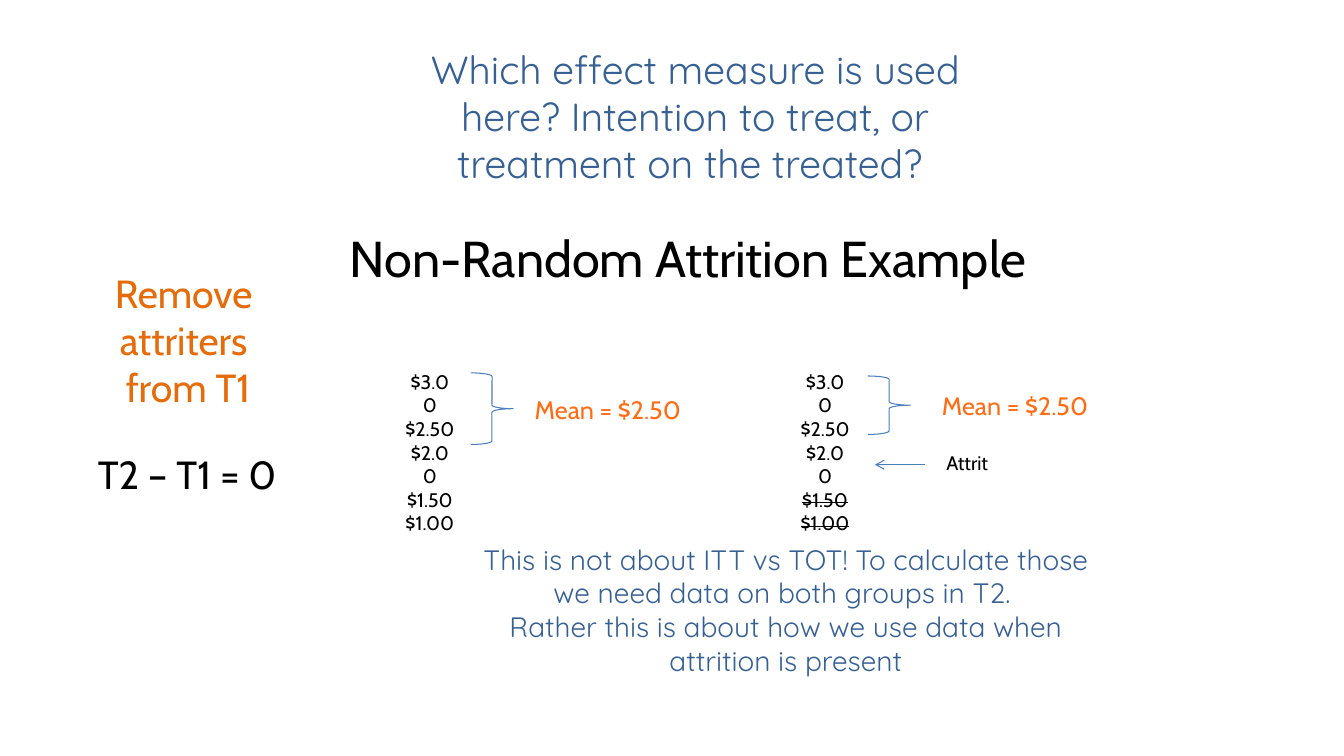
from dataclasses import dataclass

from lxml import etree
from pptx import Presentation
from pptx.dml.color import RGBColor
from pptx.enum.shapes import MSO_CONNECTOR, MSO_SHAPE
from pptx.enum.text import MSO_AUTO_SIZE, PP_ALIGN
from pptx.oxml.ns import qn
from pptx.util import Inches, Pt

STRAIGHT = MSO_CONNECTOR.STRAIGHT
RIGHT_BRACE = MSO_SHAPE.RIGHT_BRACE
GROW = MSO_AUTO_SIZE.SHAPE_TO_FIT_TEXT
CENTER = PP_ALIGN.CENTER


@dataclass(frozen=True)
class Theme:
    """Slide size, colours, line width and text formats."""

    width = Inches(13.33)
    height = Inches(7.5)
    line_color = RGBColor.from_string("4B7EBC")
    line_width = Pt(0.75)
    formats = {
        "title": {"name": "Cabin", "size": Pt(36), "color": "000000"},
        "value": {"name": "Cabin", "size": Pt(14), "color": "000000"},
        "mean": {"name": "Cabin", "size": Pt(18), "color": "FF6D16"},
        "result": {"name": "Cabin", "size": Pt(28), "color": "000000"},
        "step": {"name": "Cabin", "size": Pt(28), "color": "E46C0A"},
        "question": {"name": "Quicksand", "size": Pt(28), "color": "376092"},
        "answer": {"name": "Quicksand", "size": Pt(20), "color": "376092"},
    }


THEME = Theme()


def across(share):
    """Return a percentage of the slide width as a length."""
    return round(THEME.width * share / 100)


def down(share):
    """Return a percentage of the slide height as a length."""
    return round(THEME.height * share / 100)


def place(left, top, width, height):
    """Turn a box in slide percentages into lengths."""
    return across(left), down(top), across(width), down(height)


def format_font(font, style):
    """Apply a named text format to a font."""
    for attribute, value in THEME.formats[style].items():
        if attribute == "color":
            font.color.rgb = RGBColor.from_string(value)
        else:
            setattr(font, attribute, value)


def add_text(slide, box, paragraphs, style, wrap=True, struck=()):
    """Add centred text, striking through the listed paragraphs."""
    frame = slide.shapes.add_textbox(*place(*box)).text_frame
    frame.word_wrap = wrap
    frame.auto_size = GROW
    frame.text = "\n".join(paragraphs)
    for paragraph in frame.paragraphs:
        paragraph.alignment = CENTER
        for run in paragraph.runs:
            format_font(run.font, style)
            if run.text in struck:
                run._r.get_or_add_rPr().set("strike", "sngStrike")


def format_line(line):
    """Give a line the theme colour and width."""
    line.color.rgb = THEME.line_color
    line.width = THEME.line_width


def add_brace(slide, box):
    """Add an unfilled right brace."""
    brace = slide.shapes.add_shape(RIGHT_BRACE, *place(*box))
    brace.shadow.inherit = False
    brace.fill.background()
    format_line(brace.line)


def add_arrow(slide, start, end, row):
    """Add a horizontal arrow with an open head at its end."""
    arrow = slide.shapes.add_connector(
        STRAIGHT, across(start), down(row), across(end), down(row)
    )
    format_line(arrow.line)
    properties = arrow._element.spPr
    outline = properties.find(qn("a:ln"))
    etree.SubElement(outline, qn("a:tailEnd"), type="arrow")
    etree.SubElement(properties, qn("a:effectLst"))


def add_group(slide, column, brace, mean, struck=()):
    """Add a column of values with its brace and mean."""
    values = ["$3.00", "$2.50", "$2.00", "$1.50", "$1.00"]
    add_text(slide, (column, 48.27, 5.18, 17.07), values, "value", struck=struck)
    add_brace(slide, brace)
    add_text(slide, (*mean, 13.35, 5.33), ["Mean = $2.50"], "mean", wrap=False)


def main():
    """Build and save the slide."""
    presentation = Presentation()
    presentation.slide_width = THEME.width
    presentation.slide_height = THEME.height
    slide = presentation.slides.add_slide(presentation.slide_layouts[6])

    add_text(slide, (22.43, 29.33, 57.53, 9.47), ["Non-Random Attrition Example"], "title")
    add_group(slide, 29.4, (35.03, 49.33, 3.15, 9.47), (38.55, 51.47))
    add_group(
        slide, 58.8, (64.58, 49.73, 3.15, 7.73), (68.85, 50.93), ("$1.50", "$1.00")
    )
    add_arrow(slide, 68.85, 65.1, 61.47)
    add_text(slide, (69.6, 58.93, 4.73, 4.53), ["Attrit"], "value", wrap=False)
    add_text(slide, (5.33, 58.93, 17.18, 11.2), ["T2 – T1 = 0"], "result", wrap=False)
    add_text(
        slide,
        (27.53, 5.33, 48.38, 26.53),
        ["Which effect measure is used here? Intention to treat, or treatment on the treated? "],
        "question",
    )
    add_text(
        slide, (1.95, 34.93, 24.08, 20.13), ["Remove \vattriters \vfrom T1"], "step"
    )
    add_text(
        slide,
        (34.28, 71.07, 48.38, 19.33),
        [
            "This is not about ITT vs TOT! To calculate those we need data on both groups in T2. ",
            "Rather this is about how we use data when attrition is present",
        ],
        "answer",
    )
    presentation.save("out.pptx")


if __name__ == "__main__":
    main()
